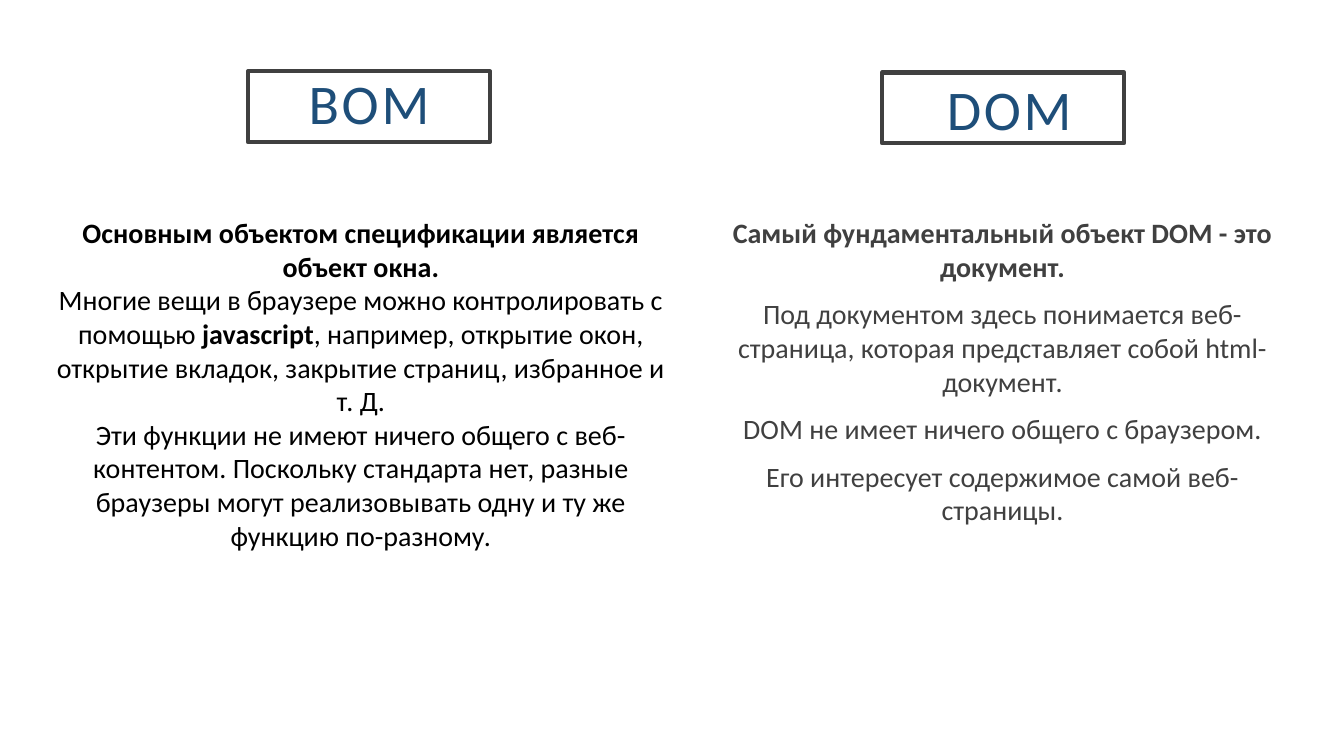
from pptx import Presentation
from pptx.dml.color import RGBColor
from pptx.enum import shapes, text
from pptx.util import Cm, Pt

COLORS = {"white": "FFFFFF", "gray": "404040", "black": "000000", "blue": "1E4E79"}
CENTER, LEFT = text.PP_ALIGN.CENTER, text.PP_ALIGN.LEFT


def color(name):
    return RGBColor.from_string(COLORS[name])


def write(tf, paragraphs, size=20, fill="black", align=CENTER,
          before=0, line=1.0, spacing=0):
    """Fill a text frame; each paragraph is a list of (text, bold) runs."""
    tf.word_wrap = True
    for i, runs in enumerate(paragraphs):
        p = tf.paragraphs[0] if i == 0 else tf.add_paragraph()
        p.alignment = align
        p.space_before = Pt(before)
        p.line_spacing = line
        for content, bold in runs:
            r = p.add_run()
            r.text = content
            r.font.name = "Calibri"
            r.font.size = Pt(size)
            r.font.bold = bold
            r.font.color.rgb = color(fill)
            if spacing:
                r.font._element.set("spc", str(spacing * 100))


prs = Presentation()
prs.slide_width, prs.slide_height = Cm(33.87), Cm(19.05)
s = prs.slides.add_slide(prs.slide_layouts[6])

# Framed headings
headings = [
    ("BOM", 6.25, 1.8, 0.76, CENTER, 0.9),
    ("DOM", 22.23, 1.83, 1.63, LEFT, 1.0),
]
for title, left, top, inset, align, line in headings:
    sp = s.shapes.add_shape(shapes.MSO_SHAPE.RECTANGLE,
                            Cm(left), Cm(top), Cm(6.1), Cm(1.78))
    sp.shadow.inherit = False
    sp.fill.solid()
    sp.fill.fore_color.rgb = color("white")
    sp.line.color.rgb = color("gray")
    sp.line.width = Pt(3)
    tf = sp.text_frame
    tf.vertical_anchor = text.MSO_ANCHOR.MIDDLE
    tf.margin_left, tf.margin_right = Cm(inset), Cm(0.76)
    tf.margin_top = tf.margin_bottom = Cm(0.51)
    write(tf, [[(title, False)]], size=40, fill="blue", align=align,
          line=line, spacing=2)

# Explanations
bom_text = [
    [("Основным объектом спецификации является объект окна.", True)],
    [("Многие вещи в браузере можно контролировать с помощью ", False),
     ("javascript", True),
     (", например, открытие окон, открытие вкладок, закрытие страниц, "
      "избранное и т. Д.", False)],
    [("Эти функции не имеют ничего общего с веб-контентом. Поскольку стандарта "
      "нет, разные браузеры могут реализовывать одну и ту же функцию "
      "по-разному.", False)],
]
dom_text = [
    [("Самый фундаментальный объект DOM - это документ.", True)],
    [("Под документом здесь понимается веб-страница, которая представляет "
      "собой html-документ.", False)],
    [("DOM не имеет ничего общего с браузером.", False)],
    [("Его интересует содержимое самой веб-страницы.", False)],
]
columns = [
    (bom_text, 1.12, 15.95, 8.81, "black", 0),
    (dom_text, 17.91, 14.71, 12.98, "gray", 10),
]
for paragraphs, left, width, height, fill, before in columns:
    sp = s.shapes.add_textbox(Cm(left), Cm(5.31), Cm(width), Cm(height))
    write(sp.text_frame, paragraphs, fill=fill, before=before)

prs.save("out.pptx")
